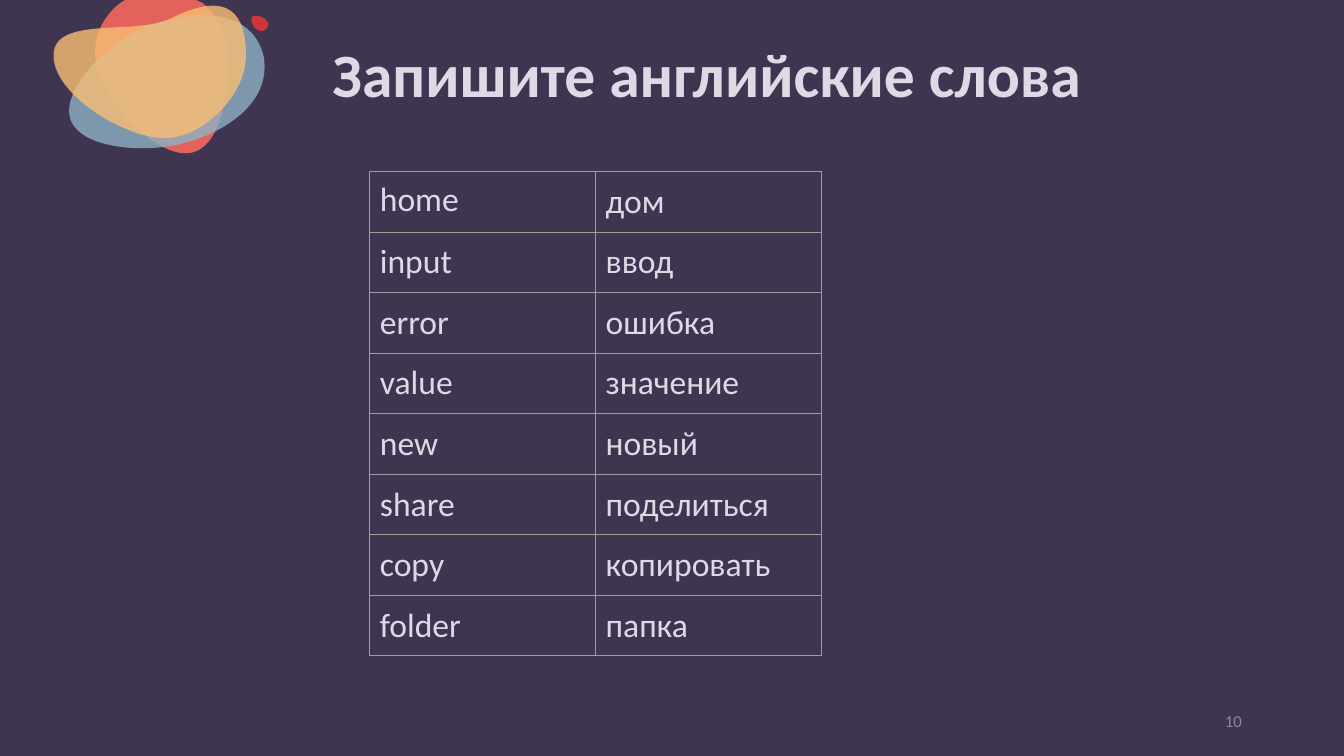
from lxml import etree
from pptx import Presentation
from pptx import util as u
from pptx.dml.color import RGBColor
from pptx.enum import text
from pptx.oxml import ns

BACKGROUND = RGBColor(0x40, 0x35, 0x51)
RED = RGBColor(0xE4, 0x62, 0x5C)
BLUE = RGBColor(0x8D, 0xB1, 0xC4)
YELLOW = RGBColor(0xF9, 0xBE, 0x75)
CRIMSON = RGBColor(0xD0, 0x34, 0x3C)
LIGHT = RGBColor(0xDE, 0xD9, 0xE5)
MUTED = RGBColor(0x83, 0x8C, 0x97)
GRID = RGBColor(0x9E, 0x9E, 0x9E)

CELL_MARGIN = u.Cm(2.54) // 10
TIGHT = {"line_spacing": 0.9, "space_before": u.Pt(10), "space_after": u.Pt(12)}
TITLE_FONT = {"name": "Calibri", "size": u.Pt(44), "bold": True}
NUMBER_FONT = {"name": "Calibri", "size": u.Pt(12)}
WORD_FONT = {"name": "Calibri", "size": u.Pt(24)}

BLOBS = [
    (RED, 100, (2.39, 0, 3.33, 3.86),
     [(3.15, 0), (4.95, 0), (5.11, 0.08),
      (5.44, 0.36, 5.66, 0.74, 5.69, 1.17),
      (5.79, 2.06, 5.66, 3.76, 4.75, 3.86),
      (3.84, 3.94, 2.49, 2.39, 2.41, 1.5),
      (2.34, 0.94, 2.59, 0.43, 3, 0.1)]),
    (BLUE, 80, (1.75, 0.38, 4.93, 3.35),
     [(1.8, 3.07),
      (2.08, 3.66, 3.28, 3.84, 4.29, 3.68),
      (5.28, 3.53, 6.86, 2.77, 6.65, 1.45),
      (6.55, 0.91, 5.99, -0.03, 3.94, 0.58),
      (2.79, 0.94, 1.45, 2.29, 1.8, 3.07)]),
    (YELLOW, 80, (1.35, 0.15, 4.85, 3.33),
     [(1.35, 1.4),
      (1.35, 2.39, 3.15, 3.48, 4.14, 3.48),
      (5.13, 3.48, 6.2, 2.39, 6.2, 1.4),
      (6.2, 0.38, 5.79, -0.28, 4.32, 0.46),
      (3.43, 0.91, 1.35, 0.38, 1.35, 1.4)]),
    (CRIMSON, 100, (6.32, 0.38, 0.41, 0.41),
     [(6.35, 0.43),
      (6.3, 0.51, 6.38, 0.71, 6.5, 0.76),
      (6.6, 0.84, 6.71, 0.74, 6.76, 0.66),
      (6.78, 0.58, 6.73, 0.48, 6.6, 0.43),
      (6.5, 0.38, 6.38, 0.38, 6.35, 0.43)]),
]

WORDS = [
    ("home", "дом"),
    ("input", "ввод"),
    ("error", "ошибка"),
    ("value", "значение"),
    ("new", "новый"),
    ("share", "поделиться"),
    ("copy", "копировать"),
    ("folder", "папка"),
]


def apply(obj, values):
    for name, value in values.items():
        setattr(obj, name, value)


def write(tf, content, font, color, paragraph=None):
    p = tf.paragraphs[0]
    apply(p, paragraph or {})
    r = p.add_run()
    r.text = content
    apply(r.font, font)
    r.font.color.rgb = color


def add_text(s, box, content, font, color, paragraph):
    sp = s.shapes.add_textbox(*map(u.Cm, box))
    tf = sp.text_frame
    apply(tf, {"word_wrap": True, "vertical_anchor": text.MSO_ANCHOR.MIDDLE})
    write(tf, content, font, color, paragraph)


def draw_outline(sp, segments):
    outline = sp._element.find(".//" + ns.qn("a:path"))
    outline.clear()
    apply(outline, {"w": sp.width, "h": sp.height})
    for i, seg in enumerate(segments):
        tag = "cubicBezTo" if len(seg) == 6 else "lnTo" if i else "moveTo"
        step = etree.SubElement(outline, ns.qn("a:" + tag))
        for x, y in zip(seg[::2], seg[1::2]):
            etree.SubElement(step, ns.qn("a:pt"), x=str(u.Cm(x) - sp.left),
                             y=str(u.Cm(y) - sp.top))
    etree.SubElement(outline, ns.qn("a:close"))


def add_blob(s, color, opacity, box, segments):
    left, top, width, height = map(u.Cm, box)
    builder = s.shapes.build_freeform(left, top)
    builder.add_line_segments([(left + width, top + height)], close=True)
    sp = builder.convert_to_shape()
    draw_outline(sp, segments)
    sp.shadow.inherit = False
    sp.line.fill.background()
    sp.fill.solid()
    sp.fill.fore_color.rgb = color
    if opacity < 100:
        clr = sp._element.spPr.find(ns.qn("a:solidFill"))[0]
        etree.SubElement(clr, ns.qn("a:alpha"), val=str(opacity * 1000))


def add_borders(cell):
    tc_pr = cell._tc.get_or_add_tcPr()
    for side in ("lnL", "lnR", "lnT", "lnB"):
        ln = etree.SubElement(tc_pr, ns.qn("a:" + side), w=str(u.Pt(0.75)))
        fill = etree.SubElement(ln, ns.qn("a:solidFill"))
        etree.SubElement(fill, ns.qn("a:srgbClr"), val=str(GRID))


def add_word_table(s, left, top, col_width, row_height):
    size = len(WORDS), len(WORDS[0])
    box = left, top, col_width * size[1], row_height * size[0]
    table = s.shapes.add_table(*size, *map(u.Cm, box)).table
    apply(table, {"first_row": False, "horz_banding": False})
    margins = dict.fromkeys(
        ("margin_left", "margin_right", "margin_top", "margin_bottom"), CELL_MARGIN)
    for i, pair in enumerate(WORDS):
        for j, word in enumerate(pair):
            cell = table.cell(i, j)
            apply(cell, margins)
            add_borders(cell)
            cell.fill.background()
            write(cell.text_frame, word, WORD_FONT, LIGHT,
                  TIGHT if i == j == 0 else None)


def main():
    prs = Presentation()
    apply(prs, {"slide_width": u.Cm(33.87), "slide_height": u.Cm(19.05)})
    s = prs.slides.add_slide(prs.slide_layouts[6])
    s.background.fill.solid()
    s.background.fill.fore_color.rgb = BACKGROUND
    for blob in BLOBS:
        add_blob(s, *blob)
    add_text(s, (8.13, 0.38, 23.42, 3.15), "Запишите английские слова",
             TITLE_FONT, LIGHT, TIGHT)
    add_text(s, (23.93, 17.65, 7.62, 1.02), "10", NUMBER_FONT, MUTED,
             {"alignment": text.PP_ALIGN.RIGHT})
    add_word_table(s, 9.32, 4.32, 5.69, 1.06)
    prs.save("out.pptx")


if __name__ == "__main__":
    main()
